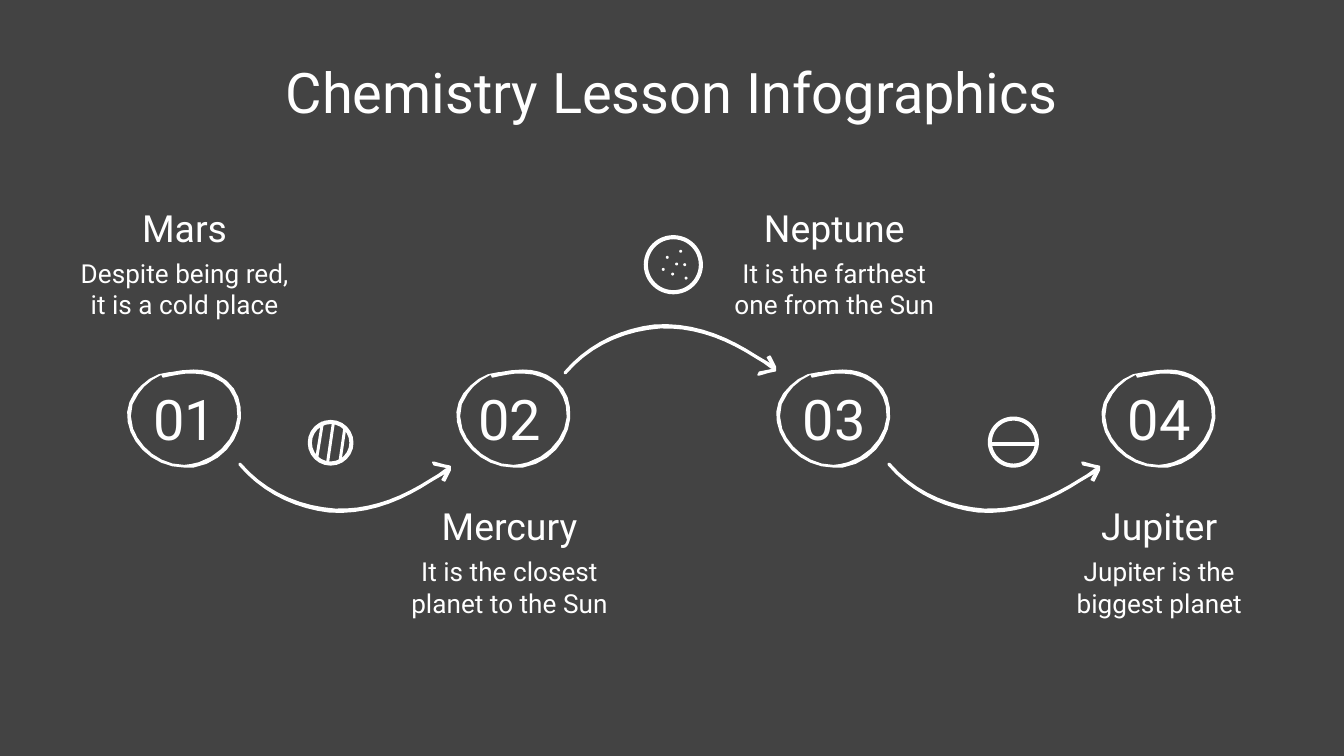
import math

from lxml import etree
from pptx import Presentation, util as u
from pptx.dml.color import RGBColor
from pptx.enum import shapes, text
from pptx.oxml import ns

COLORS = {"board": "434343", "chalk": "FFFFFF"}
CHALK = RGBColor.from_string(COLORS["chalk"])
UNIT = 0.0254  # drawing unit in cm, a hundredth of an inch
PIECE = 9      # longest straight piece of a curve, in drawing units

# Each contour is a start point followed by cubic curves of three points.
ARROW_SHAFT = ["321,358 298,373 273,383 245,381 219,378 195,366 178,346 178,346 178,345 178,345 "
               "179,345 179,345 179,345 197,366 222,377 249,379 275,380 298,371 320,357 "
               "324,355 328,352 332,349 333,348 334,350 333,351 329,353 325,356 321,358"]
ARROW_HEAD = ["331,358 330,359 329,358 329,357 330,356 334,348 333,348 330,347 326,347 323,346 "
              "322,346 322,345 322,344 323,344 323,344 323,344 326,345 328,345 330,346 "
              "332,346 334,346 335,347 336,348 335,350 335,350 334,353 332,356 331,358"]
BADGE = ["144,278 149,278 154,279 159,281 169,285 174,293 176,302 180,319 167,338 148,344 "
         "144,345 140,346 137,346 119,346 104,333 99,319 96,310 97,300 103,293 "
         "106,288 113,282 120,279 119,280 120,281 121,281 121,281 121,281 122,281 "
         "125,280 128,280 132,279 136,278 140,278 144,278",
         "144,275 138,275 132,276 127,277 127,277 126,277 126,277 118,277 110,282 105,287 "
         "97,294 93,304 95,314 98,332 116,348 137,348 140,348 142,348 144,348 "
         "168,344 182,322 179,303 178,293 172,284 162,279 156,276 150,275 144,275"]
# Planet rings: left, top, width, height along the middle of the stroke
RINGS = [(230.5, 314, 31, 31), (480.5, 176.5, 41, 41), (736.5, 311.5, 35, 35)]
RING_WIDTH = 2.2
DOTS = [(493.5, 200.5), (496.5, 191.5), (500.5, 204), (509.5, 197),
        (506.5, 187), (503.5, 196.5), (510.5, 207)]
DOT_SIZE = 2.2
# Straight strokes: x1, y1, x2, y2, width in points
STROKES = [(256.5, 319, 253, 343, 1.6), (248, 315, 243.5, 346, 1.6),
           (240, 314, 235.5, 342, 1.6), (736, 330.5, 772, 330.5, 2.2)]

prs = Presentation()
prs.slide_width, prs.slide_height = u.Cm(25.4), u.Cm(14.29)
s = prs.slides.add_slide(prs.slide_layouts[6])
s.background.fill.solid()
s.background.fill.fore_color.rgb = RGBColor.from_string(COLORS["board"])


def draw_outline(contours, dx=0, mirror_y=None, line_width=None):
    """Draw filled curves, shifted by dx and flipped upside down when mirror_y is given."""
    builder = None
    for contour in contours:
        ctrl = []
        for pair in contour.split():
            x, y = map(int, pair.split(","))
            ctrl.append((x + dx, y if mirror_y is None else mirror_y - y))
        pts = ctrl[:1]
        for i in range(0, len(ctrl) - 1, 3):
            curve = ctrl[i:i + 4]
            count = math.ceil(math.dist(curve[0], curve[3]) / PIECE)
            for n in range(1, count + 1):
                t = n / count
                weights = ((1 - t) ** 3, 3 * t * (1 - t) ** 2, 3 * t * t * (1 - t), t ** 3)
                pts.append([sum(w * c[axis] for w, c in zip(weights, curve))
                            for axis in (0, 1)])
        pts = [(u.Cm(x * UNIT), u.Cm(y * UNIT)) for x, y in pts]
        if builder is None:
            builder = s.shapes.build_freeform(*pts[0])
        else:
            builder.move_to(*pts[0])
        builder.add_line_segments(pts[1:-1], close=True)
    sp = builder.convert_to_shape()
    sp.shadow.inherit = False
    sp.fill.solid()
    sp.fill.fore_color.rgb = CHALK
    if line_width:
        sp.line.color.rgb = CHALK
        sp.line.width = u.Pt(line_width)
    else:
        sp.line.fill.background()


def add_label(words, center, top, width, height, size):
    tb = s.shapes.add_textbox(u.Cm(center - width / 2), u.Cm(top), u.Cm(width), u.Cm(height))
    tf = tb.text_frame
    frame = {"word_wrap": True, "vertical_anchor": text.MSO_ANCHOR.MIDDLE}
    frame.update({f"margin_{side}": u.Cm(0.25) for side in ("left", "right", "top", "bottom")})
    for name, value in frame.items():
        setattr(tf, name, value)
    p = tf.paragraphs[0]
    p.alignment = text.PP_ALIGN.CENTER
    r = p.add_run()
    r.text = words
    for name, value in {"name": "Roboto", "size": u.Pt(size)}.items():
        setattr(r.font, name, value)
    r.font.color.rgb = CHALK


# Arrows between the steps; the middle one arches upwards
for dx, mirror_y in ((0, None), (242, 623), (483, None)):
    for part in (ARROW_SHAFT, ARROW_HEAD):
        draw_outline(part, dx, mirror_y, line_width=0.75)

for dx in (0, 245, 483, 725):
    draw_outline(BADGE, dx)

add_label("Chemistry Lesson Infographics", 12.7, 1.17, 22.86, 1.09, 30)

steps = [("Mars", "Despite being red, it is a cold place"),
         ("Mercury", "It is the closest planet to the Sun"),
         ("Neptune", "It is the farthest one from the Sun"),
         ("Jupiter", "Jupiter is the biggest planet")]
for i, (planet, fact) in enumerate(steps):
    center = 3.49 + 6.14 * i
    top = 9.47 if i % 2 else 3.83
    add_label(f"{i + 1:02}", center, 7.44, 1.88, 0.94, 30)
    add_label(planet, center, top, 3.33, 0.94, 20)
    add_label(fact, center, top + 0.93, 4.45, 1.4, 14)

# Planets: open rings, then filled dots
dots = [(x - DOT_SIZE / 2, y - DOT_SIZE / 2, DOT_SIZE, DOT_SIZE) for x, y in DOTS]
for box in RINGS + dots:
    sp = s.shapes.add_shape(shapes.MSO_SHAPE.OVAL, *(u.Cm(v * UNIT) for v in box))
    sp.shadow.inherit = False
    if box in RINGS:
        sp.fill.background()
        sp.line.color.rgb = CHALK
        sp.line.width = u.Pt(RING_WIDTH)
    else:
        sp.fill.solid()
        sp.fill.fore_color.rgb = CHALK
        sp.line.fill.background()

for *ends, width in STROKES:
    c = s.shapes.add_connector(shapes.MSO_CONNECTOR.STRAIGHT, *(u.Cm(v * UNIT) for v in ends))
    c.line.color.rgb = CHALK
    c.line.width = u.Pt(width)
    etree.SubElement(c._element.spPr, ns.qn("a:effectLst"))

prs.save("out.pptx")
